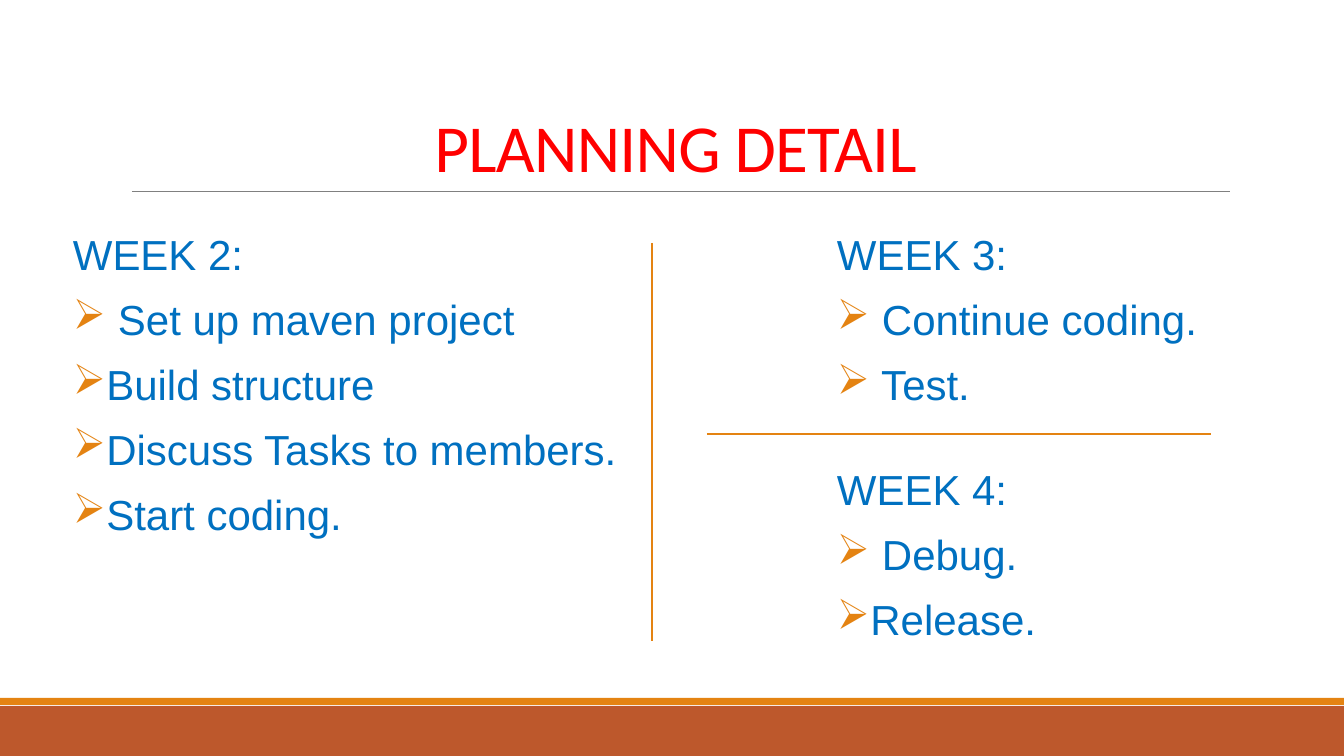
from dataclasses import dataclass

from lxml import etree
from pptx import Presentation
from pptx import util as u
from pptx.dml.color import RGBColor
from pptx.enum import shapes, text
from pptx.oxml import ns


@dataclass(frozen=True)
class Theme:
    title_color: str = "FF0000"
    body_color: str = "0070C0"
    accent: str = "E48312"
    footer: str = "BD582C"
    rule: str = "808080"
    title_font: str = "Calibri"
    body_font: str = "Arial"
    title_size: int = 48
    body_size: int = 30


@dataclass(frozen=True)
class Band:
    top: int
    height: int
    color: str


@dataclass(frozen=True)
class Rule:
    start: tuple[int, int]
    end: tuple[int, int]
    color: str
    width: float


@dataclass(frozen=True)
class Week:
    frame: tuple[int, int, int, int]
    heading: str
    tasks: tuple[str, ...]


THEME = Theme()
WIDTH, HEIGHT = 1344, 756
TITLE_FRAME = (121, 31, 1109, 160)

BANDS = (
    Band(706, 50, THEME.footer),
    Band(698, 7, THEME.accent),
)
RULES = (
    Rule((132, 191), (1230, 191), THEME.rule, 0.5),
    Rule((652, 243), (652, 641), THEME.accent, 1),
    Rule((707, 434), (1211, 434), THEME.accent, 1),
)
WEEKS = (
    Week((73, 229, 621, 437), "WEEK 2:",
         (" Set up maven project", "Build structure",
          "Discuss Tasks to members.", "Start coding.")),
    Week((837, 229, 388, 263), "WEEK 3:", (" Continue coding.", " Test.")),
    Week((837, 464, 366, 203), "WEEK 4:", (" Debug.", "Release.")),
)


def px(value: float) -> u.Emu:
    return u.Emu(round(value * 914400 / 100.8))


def add_band(page, band: Band) -> None:
    box = page.shapes.add_shape(shapes.MSO_SHAPE.RECTANGLE, 0, px(band.top),
                                px(WIDTH), px(band.height))
    box.shadow.inherit = False
    box.fill.solid()
    box.fill.fore_color.rgb = RGBColor.from_string(band.color)
    box.line.fill.background()


def add_rule(page, rule: Rule) -> None:
    line = page.shapes.add_connector(shapes.MSO_CONNECTOR.STRAIGHT,
                                     *map(px, rule.start + rule.end))
    line.line.color.rgb = RGBColor.from_string(rule.color)
    line.line.width = u.Pt(rule.width)
    etree.SubElement(line._element.spPr, ns.qn("a:effectLst"))


def write(para, words: str, *, font: str, size: int, color: str,
          line_spacing: float, before: int = 0, after: int = 0,
          align=text.PP_ALIGN.LEFT, tracking: int = 0) -> None:
    para.alignment = align
    para.line_spacing = line_spacing
    para.space_before, para.space_after = u.Pt(before), u.Pt(after)
    span = para.add_run()
    span.text = words
    span.font.name, span.font.size = font, u.Pt(size)
    span.font.color.rgb = RGBColor.from_string(color)
    if tracking:
        span._r.get_or_add_rPr().set("spc", str(tracking))


def add_bullet(para) -> None:
    props = para._p.get_or_add_pPr()
    props.set("marL", str(px(10)))
    props.set("indent", str(-px(10)))
    tint = etree.SubElement(props, ns.qn("a:buClr"))
    etree.SubElement(tint, ns.qn("a:srgbClr"), val=THEME.accent)
    etree.SubElement(props, ns.qn("a:buChar"), char="➢")


def add_title(page, words: str) -> None:
    box = page.shapes.title
    box.left, box.top, box.width, box.height = map(px, TITLE_FRAME)
    frame = box.text_frame
    frame.word_wrap = True
    frame.vertical_anchor = text.MSO_ANCHOR.BOTTOM
    write(frame.paragraphs[0], words, font=THEME.title_font,
          size=THEME.title_size, color=THEME.title_color, line_spacing=0.85,
          align=text.PP_ALIGN.CENTER, tracking=-50)


def add_week(page, week: Week) -> None:
    frame = page.shapes.add_textbox(*map(px, week.frame)).text_frame
    frame.word_wrap = True
    frame.margin_left = frame.margin_right = 0
    frame.margin_top = frame.margin_bottom = px(5)
    for index, words in enumerate((week.heading, *week.tasks)):
        para = frame.add_paragraph() if index else frame.paragraphs[0]
        if index:
            add_bullet(para)
        write(para, words, font=THEME.body_font, size=THEME.body_size,
              color=THEME.body_color, line_spacing=0.9,
              before=12 if index else 0, after=2)


def main() -> None:
    deck = Presentation()
    deck.slide_width, deck.slide_height = px(WIDTH), px(HEIGHT)
    page = deck.slides.add_slide(deck.slide_layouts[5])

    # Footer bands
    for band in BANDS:
        add_band(page, band)

    # Title and weekly plans
    add_title(page, "PLANNING DETAIL")
    for week in WEEKS:
        add_week(page, week)

    # Title underline and dividers
    for rule in RULES:
        add_rule(page, rule)

    deck.save("out.pptx")


if __name__ == "__main__":
    main()
